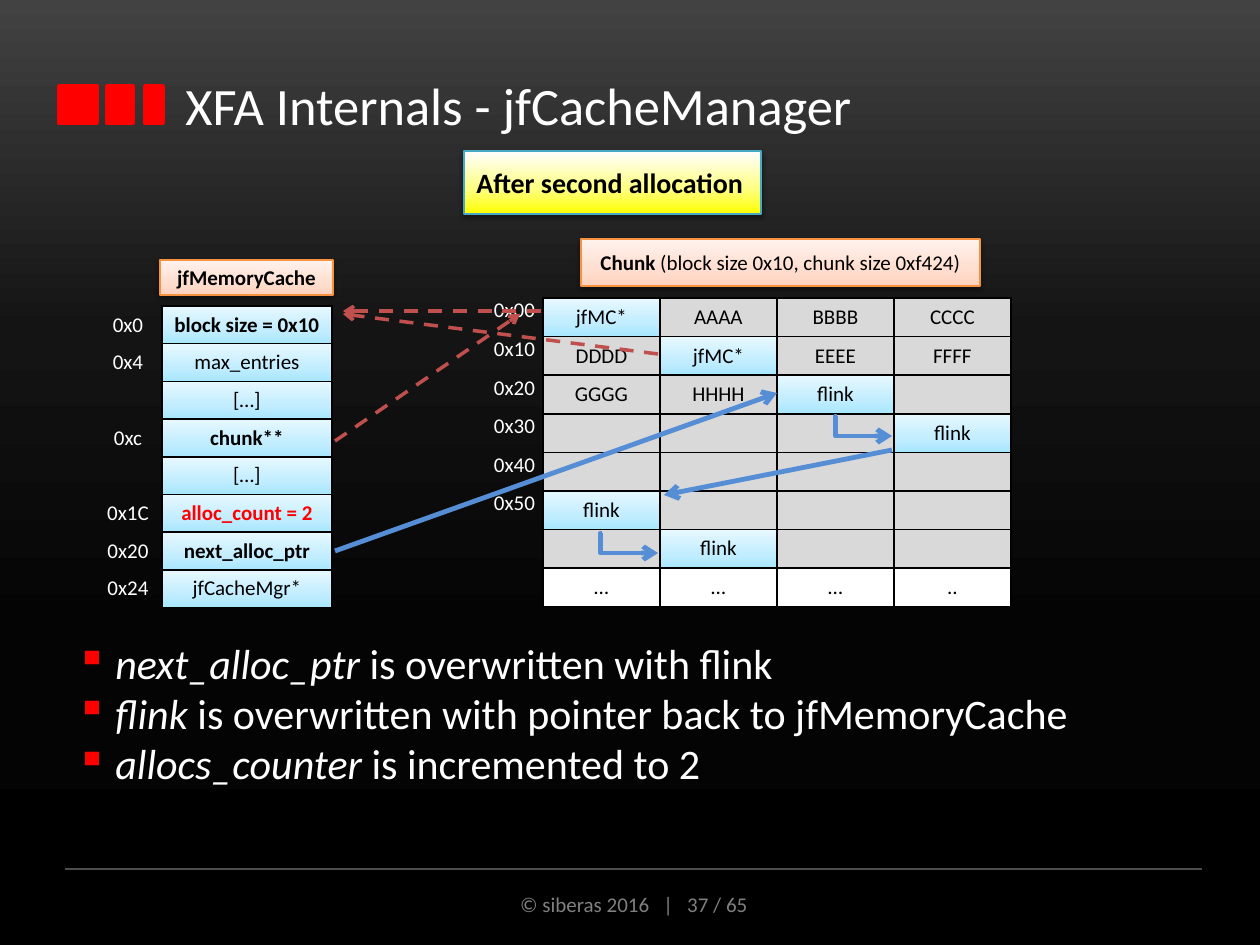
"""Build the slide on the cache manager after the second allocation."""
from lxml import etree
from pptx import Presentation
from pptx import util as u
from pptx.dml.color import RGBColor
from pptx.enum import dml, shapes, text
from pptx.oxml.ns import qn

SCALE = 914400 / 126
CENTER = text.PP_ALIGN.CENTER
MIDDLE = text.MSO_ANCHOR.MIDDLE
BLACK, WHITE, RED, GREY = "000000", "FFFFFF", "FF0000", "D9D9D9"
BLUE_LINK, RED_LINK = "558ED5", "C0504D"
SKY = [(0, "A7E6FF"), (35, "C1EDFF"), (100, "E7F8FF")]
PEACH = [(0, "FFD2BD"), (35, "FFDED0"), (100, "FFF2ED")]
YELLOW = [(0, "FFFF00"), (39, "FFFF80"), (100, "FFFFFF")]
NIGHT = [(0, "424242"), (35, "141414"), (67, "040404"), (100, "000000")]


def px(length):
    return u.Emu(int(length * SCALE))


def color(value):
    return RGBColor.from_string(value)


def add(parent, tag, **attributes):
    return etree.SubElement(parent, qn(tag), {k: str(v) for k, v in attributes.items()})


def paint(fill, owner, look, angle=90):
    if look is None:
        fill.background()
    elif isinstance(look, str):
        fill.solid()
        fill.fore_color.rgb = color(look)
    else:
        fill.gradient()
        fill.gradient_angle = angle
        stops = next(owner.iter(qn("a:gsLst")))
        for old in list(stops):
            stops.remove(old)
        for position, value in look:
            add(add(stops, "a:gs", pos=position * 1000), "a:srgbClr", val=value)


class Board:
    """Hold the style and the current slide, and draw each kind of element."""

    def __init__(self, slide, font="Calibri"):
        self.slide, self.font = slide, font
        paint(slide.background.fill, slide.element, NIGHT, 270)

    def wording(self, paragraph, words, size, ink, bold=None, align=None):
        paragraph.alignment = align
        font = paragraph.font
        font.name, font.size, font.bold = self.font, u.Pt(size), bold
        font.color.rgb = color(ink)
        runs = []
        for part in words:
            run = paragraph.add_run()
            run.text = part
            runs.append(run)
        return runs

    def label(self, place, words, size, ink=WHITE, align=None, anchor=text.MSO_ANCHOR.TOP):
        frame = self.slide.shapes.add_textbox(*map(px, place)).text_frame
        frame.word_wrap = True
        frame.vertical_anchor = anchor
        self.wording(frame.paragraphs[0], [words], size, ink, align=align)

    def bullets(self, place, lines, size):
        frame = self.slide.shapes.add_textbox(*map(px, place)).text_frame
        frame.word_wrap = True
        for index, words in enumerate(lines):
            paragraph = frame.add_paragraph() if index else frame.paragraphs[0]
            props = paragraph._p.get_or_add_pPr()
            props.set("marL", str(px(39)))
            props.set("indent", str(-px(39)))
            add(add(props, "a:buClr"), "a:srgbClr", val=RED)
            add(props, "a:buChar", char="▪")
            term, _ = self.wording(paragraph, words, size, WHITE)
            term.font.italic = True

    def box(self, place, look, edge, weight):
        shape = self.slide.shapes.add_shape(shapes.MSO_SHAPE.RECTANGLE, *map(px, place))
        shape.shadow.inherit = False
        paint(shape.fill, shape.element, look)
        shape.line.color.rgb = color(edge)
        shape.line.width = u.Pt(weight)
        return shape

    def caption(self, place, look, edge, words, size, align=CENTER):
        shape = self.box(place, look, edge, 0.75)
        effects = next(shape.element.iter(qn("a:effectLst")))
        shadow = add(effects, "a:outerShdw", blurRad=u.Pt(3.1), dist=u.Pt(1.6),
                     dir=5400000, rotWithShape=0)
        add(add(shadow, "a:srgbClr", val=BLACK), "a:alpha", val=38000)
        frame = shape.text_frame
        frame.word_wrap = True
        frame.vertical_anchor = MIDDLE
        self.wording(frame.paragraphs[0], words, size, BLACK, align=align)[0].font.bold = True

    def link(self, start, end, ink, weight, dashed=False, bent=False, arrow=True):
        kind = shapes.MSO_CONNECTOR.ELBOW if bent else shapes.MSO_CONNECTOR.STRAIGHT
        line = self.slide.shapes.add_connector(kind, *map(px, start + end))
        line.line.color.rgb = color(ink)
        line.line.width = u.Pt(weight)
        if dashed:
            line.line.dash_style = dml.MSO_LINE.DASH
        if arrow:
            add(next(line.element.iter(qn("a:ln"))), "a:tailEnd", type="arrow")
        add(line.element.spPr, "a:effectLst")
        if bent:
            guides = next(line.element.iter(qn("a:avLst")))
            add(guides, "a:gd", name="adj1", fmla="val -2800")

    def cell(self, cell, words, look, ink, bold, anchor):
        cell.margin_left = cell.margin_right = cell.margin_top = cell.margin_bottom = 0
        cell.vertical_anchor = anchor
        for side in ("a:lnL", "a:lnR", "a:lnT", "a:lnB"):
            border = add(cell._tc.get_or_add_tcPr(), side, w=u.Pt(1))
            if look:
                add(add(border, "a:solidFill"), "a:srgbClr", val=BLACK)
            else:
                add(border, "a:noFill")
        paint(cell.fill, cell._tc, look)
        self.wording(cell.text_frame.paragraphs[0], [words] if words else [], 12, ink, bold, CENTER)

    def table(self, place, widths, rows, label_anchor):
        graphic = self.slide.shapes.add_table(len(rows), len(widths), *map(px, place))
        grid = graphic.table
        grid.first_row = grid.horz_banding = False
        for column, width in zip(grid.columns, widths):
            column.width = px(width)
        for r, (offset, *fields) in enumerate(rows):
            self.cell(grid.cell(r, 0), offset, None, WHITE, False, label_anchor)
            for c, field in enumerate(fields, 1):
                self.cell(grid.cell(r, c), *field, MIDDLE)


def main():
    deck = Presentation()
    deck.slide_width, deck.slide_height = px(1260), px(945)
    board = Board(deck.slides.add_slide(deck.slide_layouts[6]))

    for left, width in ((59, 38), (107, 26), (145, 18)):
        board.box((left, 86, width, 37), RED, RED, 2)
    board.link((65, 869), (1202, 869), "4D4D4D", 0.75, arrow=False)
    board.label((425, 885, 418, 38), "© siberas 2016   |   37 / 65", 12, "808080", CENTER)
    board.label((173, 49, 1023, 110), "XFA Internals - jfCacheManager", 30, anchor=MIDDLE)

    fields = [("0x0", "block size = 0x10", BLACK, True), ("0x4", "max_entries", BLACK, False),
              ("", "[…]", BLACK, False), ("0xc", "chunk**", BLACK, True),
              ("", "[…]", BLACK, False), ("0x1C", "alloc_count = 2", RED, True),
              ("0x20", "next_alloc_ptr", BLACK, True), ("0x24", "jfCacheMgr*", BLACK, False)]
    cache = [(offset, (name, SKY, ink, bold)) for offset, name, ink, bold in fields]
    board.table((94, 306, 238, 302), (68, 170), cache, MIDDLE)
    board.caption((160, 260, 173, 35), PEACH, "F69240", ["jfMemoryCache"], 12)

    blocks = [("0x00", "jfMC*", "AAAA", "BBBB", "CCCC"), ("0x10", "DDDD", "jfMC*", "EEEE", "FFFF"),
              ("0x20", "GGGG", "HHHH", "flink", ""), ("0x30", "", "", "", "flink"),
              ("0x40", "", "", "", ""), ("0x50", "flink", "", "", ""),
              ("", "", "flink", "", ""), ("", "…", "…", "…", "..")]
    looks = {"jfMC*": SKY, "flink": SKY, "…": WHITE, "..": WHITE}
    chunk = [(offset, *((word, looks.get(word, GREY), BLACK, False) for word in words))
             for offset, *words in blocks]
    board.table((486, 298, 525, 309), (57, 117, 117, 117, 117), chunk, text.MSO_ANCHOR.TOP)
    board.caption((581, 239, 399, 47), PEACH, "F69240",
                  ["Chunk ", "(block size 0x10, chunk size 0xf424)"], 12)

    board.bullets((64, 631, 1131, 165), [
        ("next_alloc_ptr ", "is overwritten with flink"),
        ("flink ", "is overwritten with pointer back to jfMemoryCache"),
        ("allocs_counter ", "is incremented to 2")], 24)
    board.caption((464, 151, 297, 63), YELLOW, "46AAC5", ["After second allocation"], 16, None)

    for start, end, bent in (((837, 416), (892, 436), True), ((892, 450), (664, 495), False),
                             ((335, 551), (777, 393), False), ((602, 533), (658, 553), True)):
        board.link(start, end, BLUE_LINK, 2.75, bent=bent)
    for start, end in (((335, 441), (520, 314)), ((541, 311), (343, 311)), ((658, 354), (343, 314))):
        board.link(start, end, RED_LINK, 2, dashed=True)

    deck.save("out.pptx")


if __name__ == "__main__":
    main()
